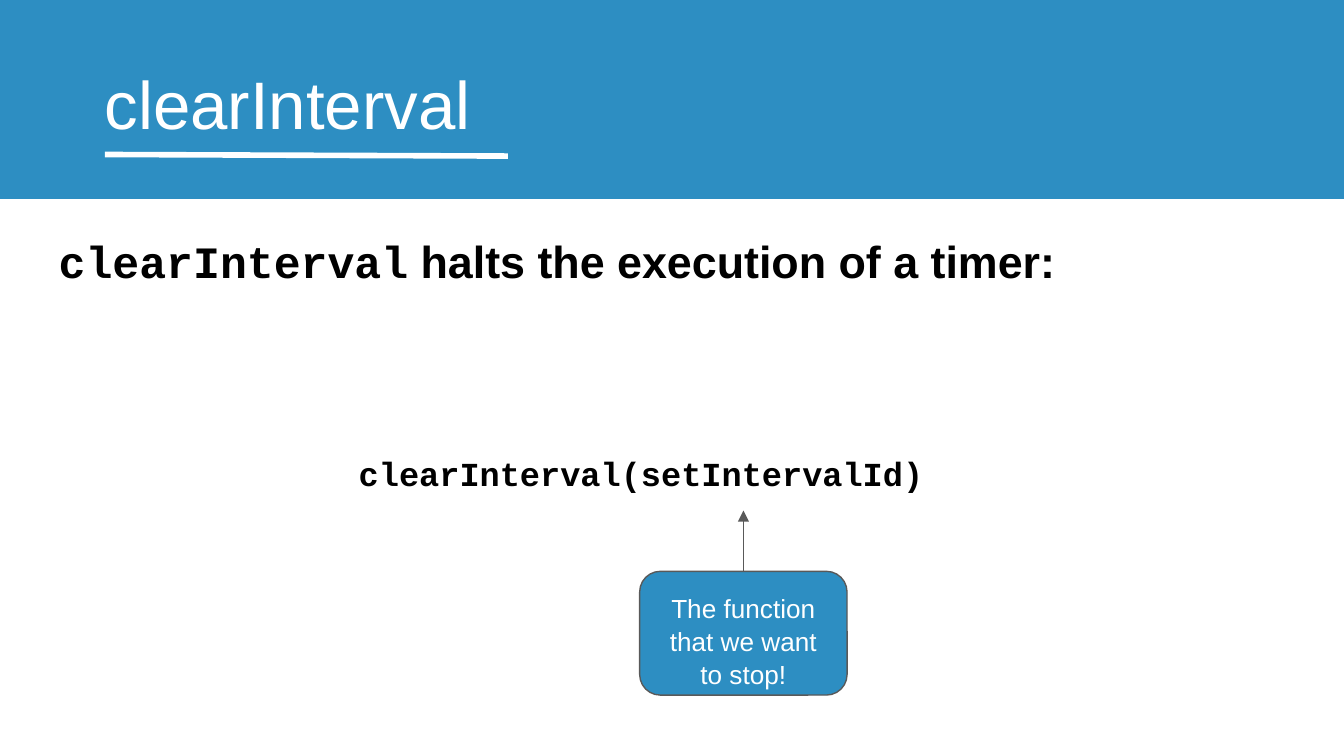
from lxml.etree import SubElement
from pptx import Presentation
from pptx.dml.color import RGBColor
from pptx.enum.shapes import MSO_CONNECTOR as Connector, MSO_SHAPE as Shape
from pptx.enum.text import MSO_ANCHOR as Anchor, PP_ALIGN as Align
from pptx.oxml.ns import qn
from pptx.util import Cm, Pt

BLUE = RGBColor(0x2D, 0x8E, 0xC2)
WHITE = RGBColor(0xFF, 0xFF, 0xFF)
BLACK = RGBColor(0x00, 0x00, 0x00)
GRAY = RGBColor(0x59, 0x59, 0x59)
SANS, MONO = "Arial", "Courier New"
INSET = Cm(0.25)


def write(shape, runs, size, color, bold=False, spacing=1.0, anchor=Anchor.TOP):
    """Fill a shape with one paragraph made of (text, font name) runs."""
    frame = shape.text_frame
    frame.word_wrap = True
    frame.vertical_anchor = anchor
    frame.margin_left = frame.margin_right = INSET
    frame.margin_top = frame.margin_bottom = INSET
    para = frame.paragraphs[0]
    para.line_spacing = spacing
    for text, font_name in runs:
        span = para.add_run()
        span.text = text
        span.font.name = font_name
        span.font.size = Pt(size)
        span.font.bold = bold
        span.font.color.rgb = color
    return para


def add_line(start_x, start_y, end_x, end_y, color, width):
    line = slide.shapes.add_connector(
        Connector.STRAIGHT, Cm(start_x), Cm(start_y), Cm(end_x), Cm(end_y))
    line.line.color.rgb = color
    line.line.width = Pt(width)
    SubElement(line._element.spPr, qn("a:effectLst"))
    return line


deck = Presentation()
deck.slide_width, deck.slide_height = Cm(25.4), Cm(14.29)
slide = deck.slides.add_slide(deck.slide_layouts[6])

# Header band with underlined title
band = slide.shapes.add_shape(Shape.RECTANGLE, 0, 0, deck.slide_width, Cm(3.76))
band.shadow.inherit = False
band.fill.solid()
band.fill.fore_color.rgb = BLUE
band.line.fill.background()
add_line(1.98, 2.92, 9.6, 2.95, WHITE, 3)

title = slide.shapes.add_textbox(Cm(1.73), Cm(0.79), Cm(23.67), Cm(1.6))
write(title, [("clearInterval", SANS)], 36, WHITE)
title.text_frame.margin_top = Cm(0.39)

# Explanation and code sample
body = slide.shapes.add_textbox(Cm(0.86), Cm(3.91), Cm(23.67), Cm(1.88))
write(body, [("clearInterval", MONO), (" halts the execution of a timer:", SANS)],
      24, BLACK, bold=True, spacing=1.15, anchor=Anchor.MIDDLE)

code = slide.shapes.add_textbox(Cm(6.53), Cm(8.2), Cm(13.56), Cm(1.83))
write(code, [("clearInterval(setIntervalId)", MONO)], 18, BLACK, bold=True, spacing=1.15)

# Callout pointing at the argument
callout = slide.shapes.add_shape(
    Shape.ROUNDED_RECTANGLE, Cm(12.09), Cm(10.8), Cm(3.92), Cm(2.34))
callout.shadow.inherit = False
callout.fill.solid()
callout.fill.fore_color.rgb = BLUE
callout.line.color.rgb = GRAY
callout.line.width = Pt(0.75)
para = write(callout, [("The function that we want to stop!", SANS)], 14, WHITE, spacing=1.05)
para.alignment = Align.CENTER

arrow = add_line(14.05, 10.8, 14.05, 9.65, GRAY, 0.75)
arrow.begin_connect(callout, 0)
SubElement(arrow.line._get_or_add_ln(), qn("a:tailEnd"), type="triangle")

deck.save("out.pptx")
